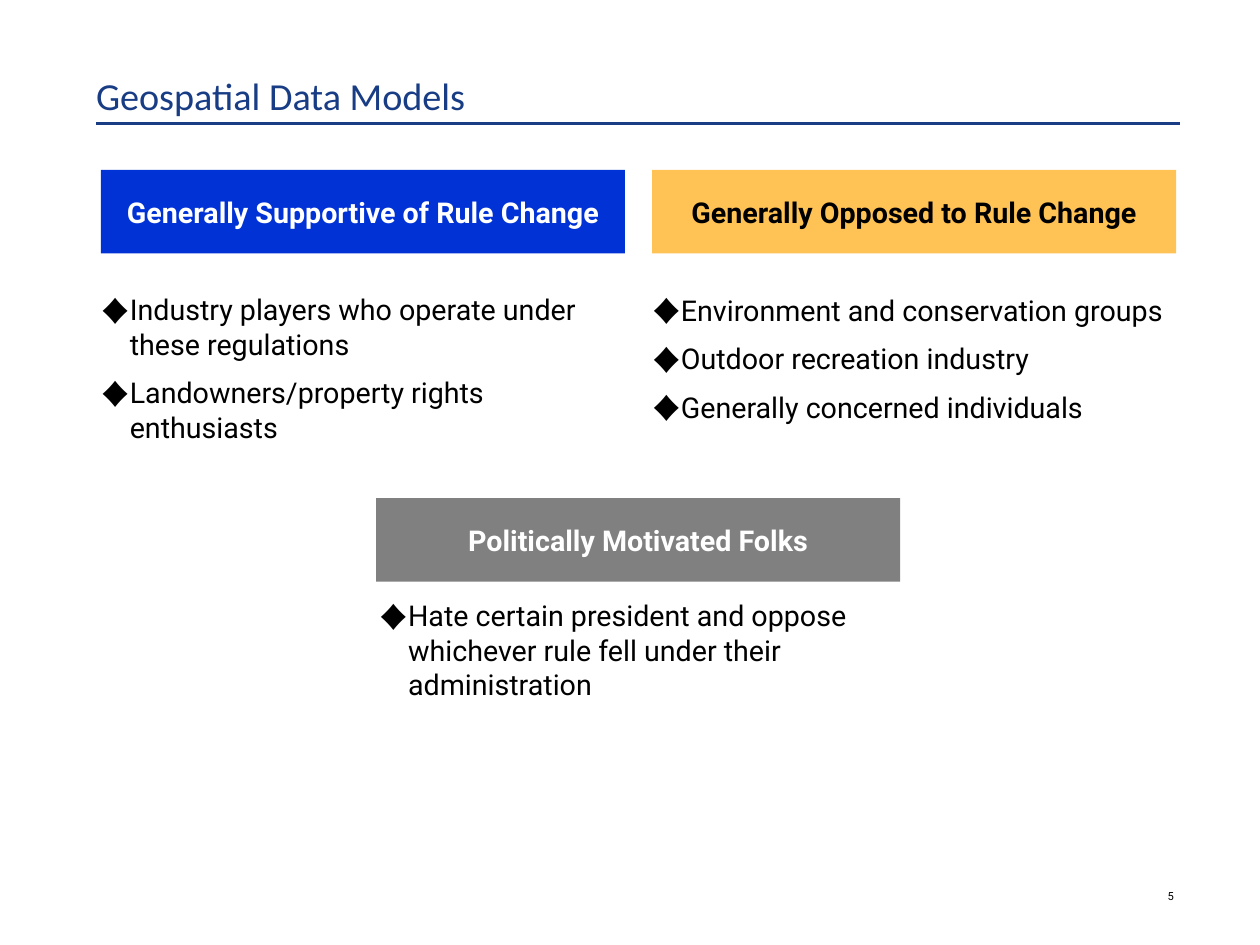
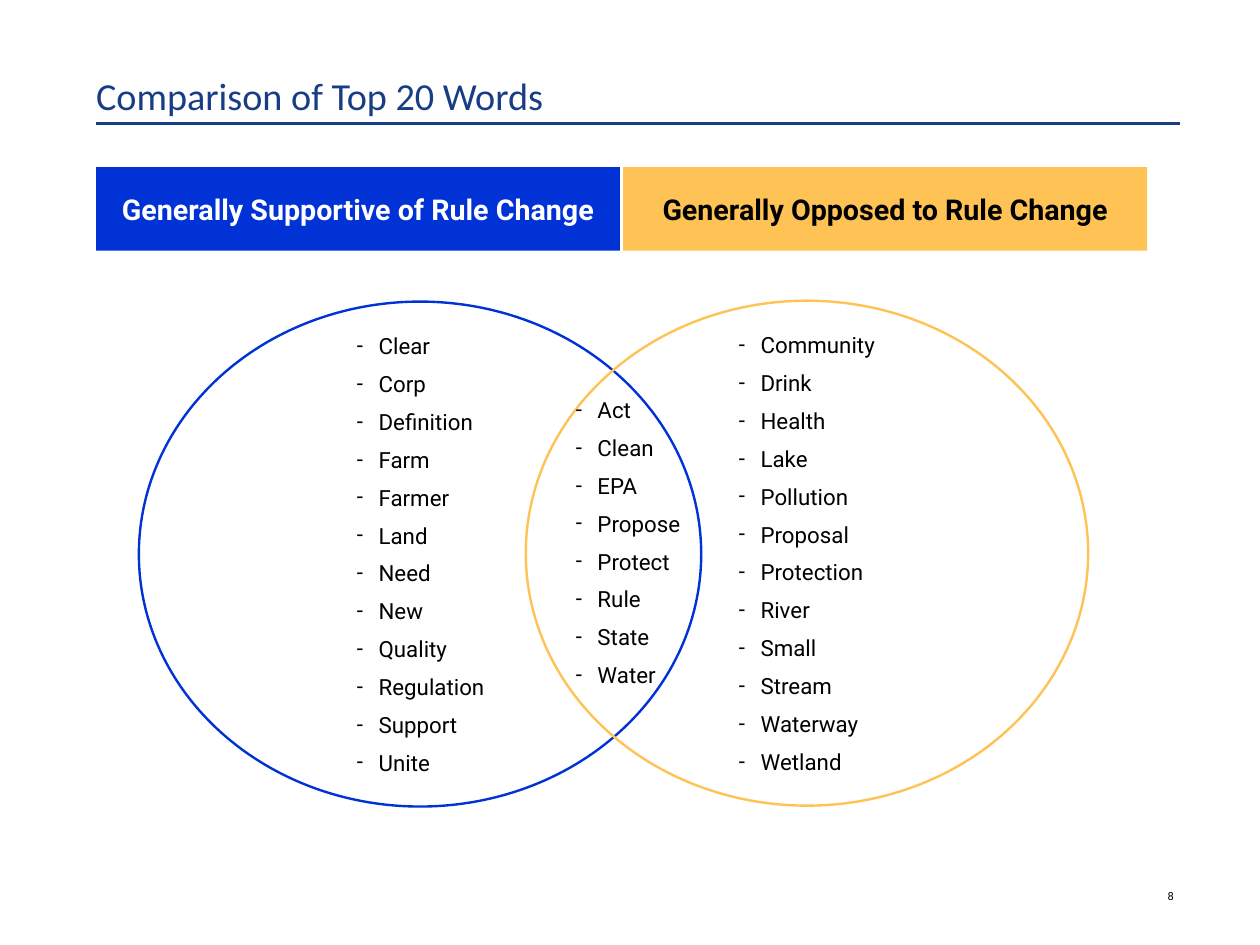
from lxml.etree import SubElement as SubEl
from pptx import Presentation
from pptx.dml.color import RGBColor
from pptx.enum.shapes import MSO_CONNECTOR as LINK, MSO_SHAPE as SHAPE
from pptx.enum.text import MSO_ANCHOR as ANCHOR, MSO_AUTO_SIZE as FIT, PP_ALIGN as ALIGN
from pptx.oxml.ns import qn
from pptx.util import Cm, Pt

# Shared look
NAVY, BLUE, GOLD, GRAY = "193D85", "0032D6", "FFC255", "808080"
BLACK, WHITE = "000000", "FFFFFF"
HEAD, BODY = "Calibri", "Roboto"
LEFT, WIDE = 2.13, 24.03
COL, BAR = 11.62, 1.85

PRO, CON = "Generally Supportive of Rule Change", "Generally Opposed to Rule Change"

# Words of the Venn diagram
PRO_WORDS = ["Clear", "Corp", "Definition", "Farm", "Farmer", "Land", "Need",
             "New", "Quality", "Regulation", "Support", "Unite"]
CON_WORDS = ["Community", "Drink", "Health", "Lake", "Pollution", "Proposal",
             "Protection", "River", "Small", "Stream", "Waterway", "Wetland"]
BOTH_WORDS = ["Act", "Clean", "EPA", "Propose", "Protect", "Rule", "State", "Water"]


def color(code):
    return RGBColor.from_string(code)


def paint(shape, code):
    shape.fill.solid()
    shape.fill.fore_color.rgb = color(code)


def style(para, size, code=BLACK, name=BODY, bold=False, align=ALIGN.LEFT):
    para.alignment = align
    font = para.font
    font.name, font.size, font.bold = name, Pt(size), bold
    font.color.rgb = color(code)


def frame(shape, anchor=ANCHOR.TOP, left=0, top=0):
    text = shape.text_frame
    text.auto_size = FIT.NONE
    text.word_wrap = True
    text.vertical_anchor = anchor
    text.margin_left, text.margin_right = Cm(left), 0
    text.margin_top = text.margin_bottom = Cm(top)
    return text


def fill_list(text, items, mark, size, indent):
    """Fill a frame with bullets, half a line apart."""
    text.text = "\n".join(items)
    for i, para in enumerate(text.paragraphs):
        style(para, size)
        para.space_before = Pt(size / 2 if i else 0)
        base = para.font._element
        props = base.getparent()
        props.set("marL", str(Cm(indent)))
        props.set("indent", str(-Cm(indent)))
        base.addprevious(SubEl(props, qn("a:buFont"), typeface=BODY))
        base.addprevious(SubEl(props, qn("a:buChar"), char=mark))


def add_box(slide, x, y, w, h):
    return slide.shapes.add_textbox(Cm(x), Cm(y), Cm(w), Cm(h))


def add_form(slide, kind, x, y, w, h):
    form = slide.shapes.add_shape(kind, Cm(x), Cm(y), Cm(w), Cm(h))
    form.shadow.inherit = False
    return form


def add_bar(slide, label, x, y, fill, ink=WHITE):
    bar = add_form(slide, SHAPE.RECTANGLE, x, y, COL, BAR)
    paint(bar, fill)
    bar.line.fill.background()
    text = frame(bar, ANCHOR.MIDDLE)
    text.text = label
    style(text.paragraphs[0], 18, ink, bold=True, align=ALIGN.CENTER)


def add_points(slide, items, x, y, h):
    box = add_box(slide, x, y, COL, h)
    paint(box, WHITE)
    fill_list(frame(box), items, "♦", 18, 0.64)


def add_words(text, words):
    fill_list(text, words, "-", 14, 0.48)


def add_ring(slide, words, x, y, edge, left):
    ring = add_form(slide, SHAPE.OVAL, x, y, 12.47, 11.2)
    ring.fill.background()
    ring.line.color.rgb = color(edge)
    ring.line.width = Pt(1.5)
    add_words(frame(ring, ANCHOR.MIDDLE, left), words)


def add_slide(deck, name, number):
    slide = deck.slides.add_slide(deck.slide_layouts[5])
    # Rule under the title
    rule = slide.shapes.add_connector(
        LINK.STRAIGHT, Cm(LEFT), Cm(2.74), Cm(LEFT + WIDE), Cm(2.74))
    rule.line.color.rgb = color(NAVY)
    rule.line.width = Pt(1.5)
    SubEl(rule._element.spPr, qn("a:effectLst"))
    # Title
    title = slide.shapes.title
    title.left, title.top, title.width, title.height = Cm(LEFT), Cm(0), Cm(WIDE), Cm(2.62)
    paint(title, WHITE)
    text = frame(title, ANCHOR.BOTTOM)
    text.text = name
    style(text.paragraphs[0], 24, NAVY, HEAD)
    # Page number
    text = frame(add_box(slide, 24.89, 18.99, 1.14, 1.04), ANCHOR.BOTTOM)
    text.text = str(number)
    style(text.paragraphs[0], 7, align=ALIGN.RIGHT)
    return slide


def add_groups(deck):
    slide = add_slide(deck, "Geospatial Data Models", 5)
    near, far = 2.24, 14.46
    add_bar(slide, PRO, near, 3.77, BLUE)
    add_bar(slide, CON, far, 3.77, GOLD, BLACK)
    add_points(slide, ["Industry players who operate under these regulations",
                       "Landowners/property rights enthusiasts"], near, 6.48, 5.64)
    add_points(slide, ["Environment and conservation groups",
                       "Outdoor recreation industry",
                       "Generally concerned individuals"], far, 6.49, 5.64)
    add_bar(slide, "Politically Motivated Folks", 8.34, 11.05, GRAY)
    add_points(slide, ["Hate certain president and oppose whichever rule "
                       "fell under their administration"], 8.41, 13.27, 3.07)


def add_venn(deck):
    slide = add_slide(deck, "Comparison of Top 20 Words", 8)
    add_ring(slide, PRO_WORDS, 3.08, 6.69, BLUE, 3.01)
    add_ring(slide, CON_WORDS, 11.66, 6.67, GOLD, 2.9)
    both = add_box(slide, 12.52, 8.66, 3.38, 7.14)
    add_words(frame(both, left=0.25, top=0.13), BOTH_WORDS)
    add_bar(slide, PRO, LEFT, 3.71, BLUE)
    add_bar(slide, CON, 13.82, 3.71, GOLD, BLACK)


def main():
    deck = Presentation()
    deck.slide_width, deck.slide_height = Cm(27.94), Cm(20.96)
    add_groups(deck)
    add_venn(deck)
    deck.save("out.pptx")


if __name__ == "__main__":
    main()
